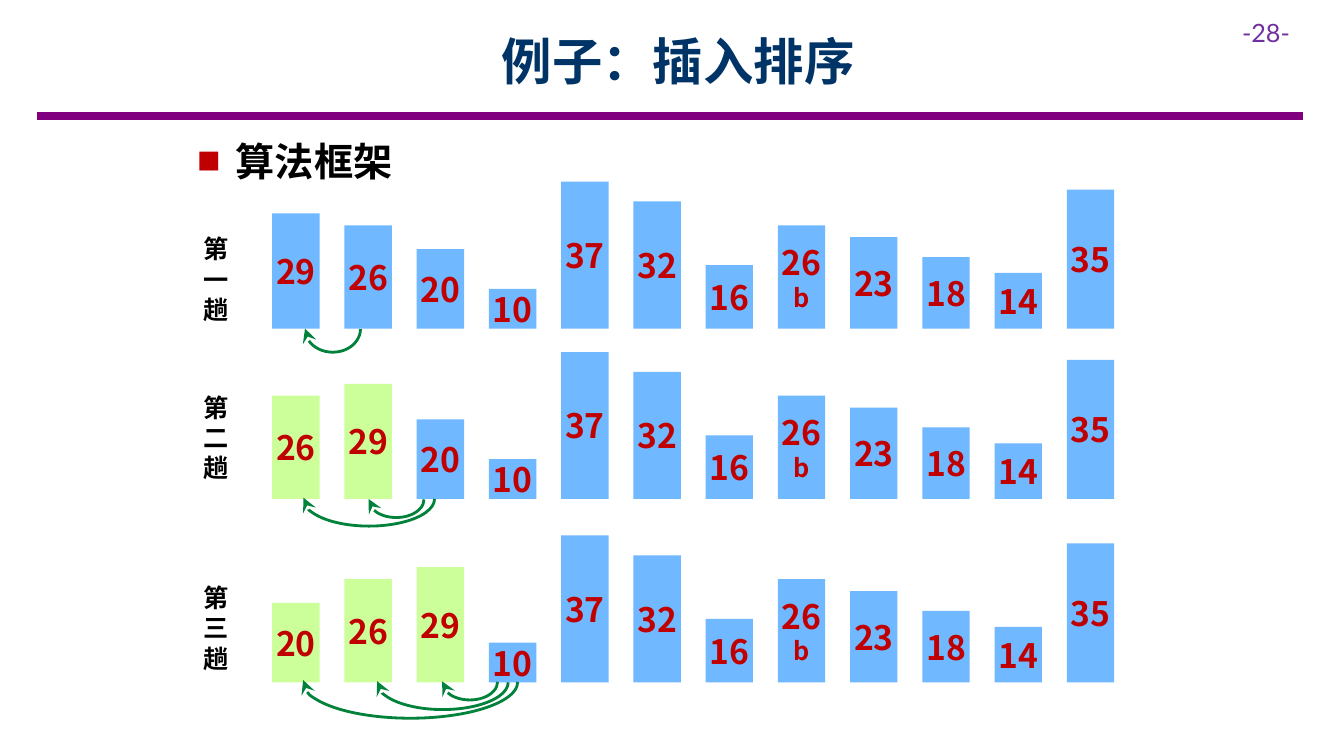
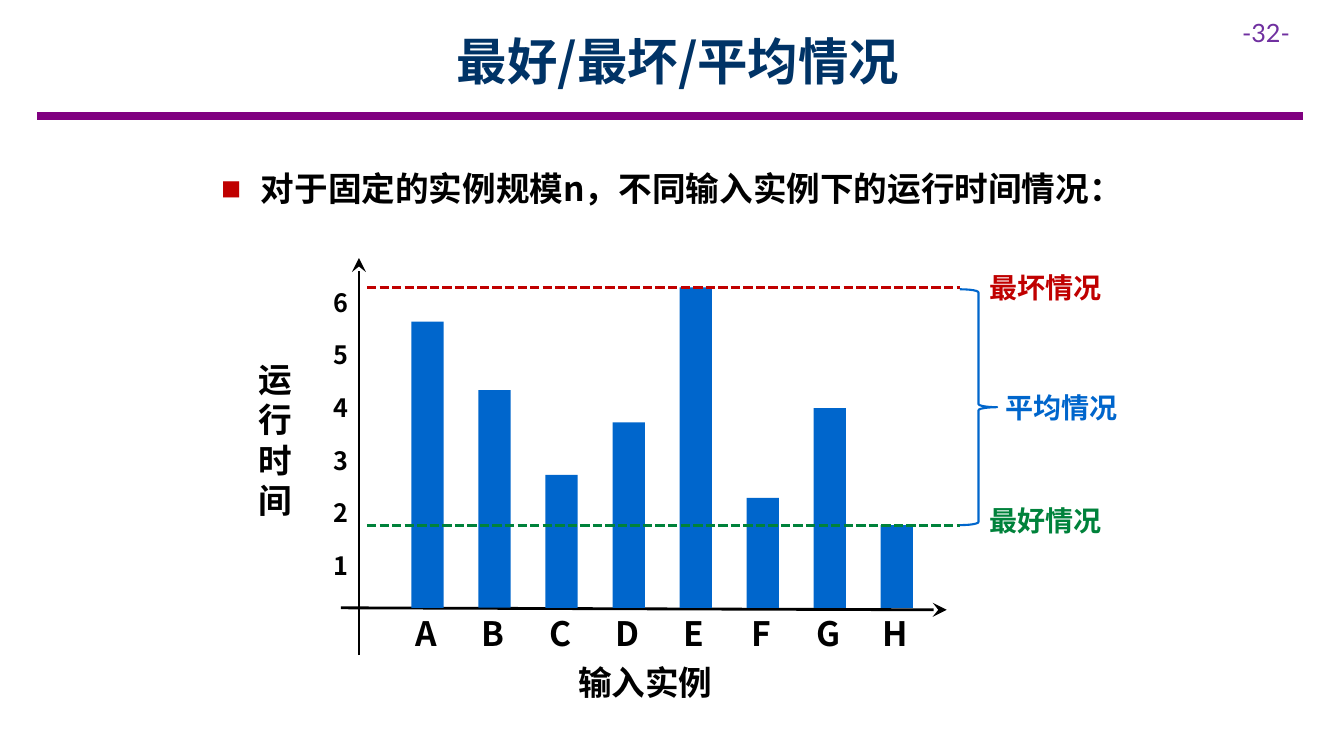
import pptx
import pptx.util
import pptx.dml.color
import pptx.enum.dml
import pptx.enum.shapes
import pptx.enum.text
import pptx.oxml.ns
import lxml.etree

Inches = pptx.util.Inches
Pt = pptx.util.Pt
Align = pptx.enum.text.PP_ALIGN
Anchor = pptx.enum.text.MSO_ANCHOR
Shape = pptx.enum.shapes.MSO_SHAPE
qn = pptx.oxml.ns.qn


class Theme:
    # Colours
    white, black = "FFFFFF", "000000"
    navy, purple, violet = "003366", "800080", "7030A0"
    red, green, blue = "C00000", "00823B", "0066CC"
    sky, lime = "70B8FF", "CCFF99"
    # Fonts and type sizes
    font, latin = "Noto Sans CJK SC", "Lato"
    title, lead, body, label, small = 36, 28, 24, 20, 18
    leading = 1.2


def color(code):
    return pptx.dml.color.RGBColor.from_string(code)


def child(node, tag, **attrs):
    return lxml.etree.SubElement(node, qn(tag), attrs)


def write(frame, text, size=Theme.body, ink=Theme.black, bold=True,
          font=Theme.font, align=Align.LEFT, anchor=Anchor.TOP,
          side=0.1, hang=0, after=0, tail=None):
    """Fill a frame; tail is the size of every line after the first."""
    frame.word_wrap = True
    frame.vertical_anchor = anchor
    frame.margin_left = frame.margin_right = Inches(side)
    for i, line in enumerate(text.split("\n")):
        para = frame.add_paragraph() if i else frame.paragraphs[0]
        points = tail if i and tail else size
        if hang:
            props = para._p.get_or_add_pPr()
            props.set("marL", str(Inches(hang)))
            props.set("indent", str(-Inches(hang)))
            child(child(props, "a:buClr"), "a:srgbClr", val=Theme.red)
            child(props, "a:buSzPct", val="60000")
            child(props, "a:buFont", typeface=font)
            child(props, "a:buChar", char="■")
        para.alignment = align
        para.line_spacing = Pt(points * Theme.leading)
        if after:
            para.space_after = Pt(after)
        run = para.add_run()
        run.text = line
        run.font.size = Pt(points)
        run.font.bold = bold
        run.font.color.rgb = color(ink)
        run.font.name = font
        child(run._r.get_or_add_rPr(), "a:ea", typeface=font)


class Deck:
    def __init__(self):
        self.file = pptx.Presentation()
        self.file.slide_width = Inches(13.33)
        self.file.slide_height = Inches(7.5)
        self.slide = None

    def page(self, title, number):
        """Start a slide with the shared rule, number and title."""
        self.slide = self.file.slides.add_slide(self.file.slide_layouts[6])
        self.slide.background.fill.solid()
        self.slide.background.fill.fore_color.rgb = color(Theme.white)
        self.line(0.37, 1.15, 12.92, 1.15, ink=Theme.purple, width=6)
        self.text(f"-{number}-", 12.22, 0.12, 1.11, 0.4, size=Theme.small,
                  ink=Theme.violet, bold=False, font=Theme.latin)
        self.text(title, 2.57, 0.1, 8.31, 1, size=Theme.title,
                  ink=Theme.navy, align=Align.CENTER, anchor=Anchor.MIDDLE)

    def text(self, text, x, y, w, h, **style):
        box = self.slide.shapes.add_textbox(
            Inches(x), Inches(y), Inches(w), Inches(h))
        write(box.text_frame, text, **style)

    def shape(self, kind, x, y, w, h, fill=None, ink=None, width=1):
        item = self.slide.shapes.add_shape(
            kind, Inches(x), Inches(y), Inches(w), Inches(h))
        item.shadow.inherit = False
        if fill:
            item.fill.solid()
            item.fill.fore_color.rgb = color(fill)
        else:
            item.fill.background()
        if ink:
            item.line.color.rgb = color(ink)
            item.line.width = Pt(width)
        else:
            item.line.fill.background()
        return item

    def bar(self, x, y, w, h, fill, text=""):
        item = self.shape(Shape.RECTANGLE, x, y, w, h, fill=fill)
        if text:
            write(item.text_frame, text, ink=Theme.red, side=0,
                  align=Align.CENTER, anchor=Anchor.MIDDLE, tail=Theme.small)

    def arrow(self, item):
        child(item.line._get_or_add_ln(), "a:tailEnd", type="stealth",
              w="lg", len="lg")

    def line(self, x1, y1, x2, y2, ink=Theme.black, width=2,
             dash=False, arrow=False):
        item = self.slide.shapes.add_connector(
            pptx.enum.shapes.MSO_CONNECTOR.STRAIGHT,
            Inches(x1), Inches(y1), Inches(x2), Inches(y2))
        child(item._element.spPr, "a:effectLst")
        item.line.color.rgb = color(ink)
        item.line.width = Pt(width)
        if dash:
            item.line.dash_style = pptx.enum.dml.MSO_LINE.SQUARE_DOT
        if arrow:
            self.arrow(item)

    def arc(self, x, y, w, h):
        """Draw a curved arrow, given its frame before a quarter turn."""
        item = self.shape(Shape.ARC, x, y, w, h, ink=Theme.green, width=2)
        item.rotation = 90
        # Angles of 270 and 91 degrees, at 0.6 units a degree
        for i, angle in enumerate((270, 91)):
            item.adjustments[i] = angle * 0.6
        self.arrow(item)


def sort(deck):
    deck.page("例子：插入排序", 28)
    deck.text("算法框架", 1.86, 1.31, 9.45, 0.57, size=Theme.lead,
              hang=0.38, after=6)

    # Each pass: label, label top, bar base, sorted count, first four keys
    passes = [
        ("第一趟", 2.27, 3.26, 0, (29, 26, 20, 10)),
        ("第二趟", 3.84, 4.95, 2, (26, 29, 20, 10)),
        ("第三趟", 5.73, 6.77, 3, (20, 26, 29, 10)),
    ]
    rest = (37, 32, 16, "26\nb", 23, 18, 14, 35)
    for name, top, base, done, keys in passes:
        deck.text(name, 1.92, top, 0.45, 1.01, size=Theme.small)
        for i, key in enumerate(keys + rest):
            text = str(key)
            high = int(text.split("\n")[0]) * 0.0394
            fill = Theme.lime if i < done else Theme.sky
            deck.bar(2.7 + i * 0.7165, base - high, 0.47, high, fill, text)

    # Insertion moves
    arcs = [
        (3.07, 2.99, 0.46, 0.55),
        (3.75, 4.68, 0.36, 0.55), (3.39, 4.3, 0.54, 1.3),
        (4.48, 6.49, 0.36, 0.55), (4.12, 6.12, 0.54, 1.3),
        (3.71, 5.7, 0.72, 2.13),
    ]
    for frame in arcs:
        deck.arc(*frame)


def cases(deck):
    deck.page("最好/最坏/平均情况", 32)
    deck.text("对于固定的实例规模n，不同输入实例下的运行时间情况：",
              2.1, 1.62, 9.4, 0.5, hang=0.39)

    # Axes and their names
    deck.line(3.38, 6.03, 9.39, 6.05, arrow=True)
    deck.line(3.56, 6.5, 3.56, 2.56, arrow=True)
    deck.text("输入实例", 5.3, 6.52, 2.2, 0.5, align=Align.CENTER)
    deck.text("运行时间", 2.37, 3.51, 0.72, 1.72, align=Align.CENTER,
              side=0.15)
    for mark in range(1, 7):
        deck.text(str(mark), 3.07, 5.93 - mark * 0.522, 0.63, 0.4,
                  size=Theme.small, align=Align.CENTER)

    # Run time of each input
    tops = (3.19, 3.87, 4.71, 4.19, 2.85, 4.94, 4.05, 5.21)
    for i, (name, top) in enumerate(zip("ABCDEFGH", tops)):
        deck.bar(4.08 + i * 0.665, top, 0.32, 6.03 - top, Theme.blue)
        deck.text(name, 3.97 + i * 0.664, 6.03, 0.52, 0.5,
                  align=Align.CENTER)

    # Worst, best and average levels: the tallest bar has the least top
    for y, ink in ((min(tops), Theme.red), (max(tops), Theme.green)):
        deck.line(3.64, y, 9.52, y, ink=ink, width=2.25, dash=True)
    deck.shape(Shape.RIGHT_BRACE, 9.52, 2.87, 0.37, 2.34,
               ink=Theme.blue, width=1.5)
    notes = [
        ("最坏情况", 9.27, 2.63, Theme.red),
        ("最好情况", 9.27, 4.95, Theme.green),
        ("平均情况", 9.43, 3.82, Theme.blue),
    ]
    for name, x, y, ink in notes:
        deck.text(name, x, y, 2.2, 0.44, size=Theme.label, ink=ink,
                  align=Align.CENTER)


def main():
    deck = Deck()
    sort(deck)
    cases(deck)
    deck.file.save("out.pptx")


if __name__ == "__main__":
    main()
